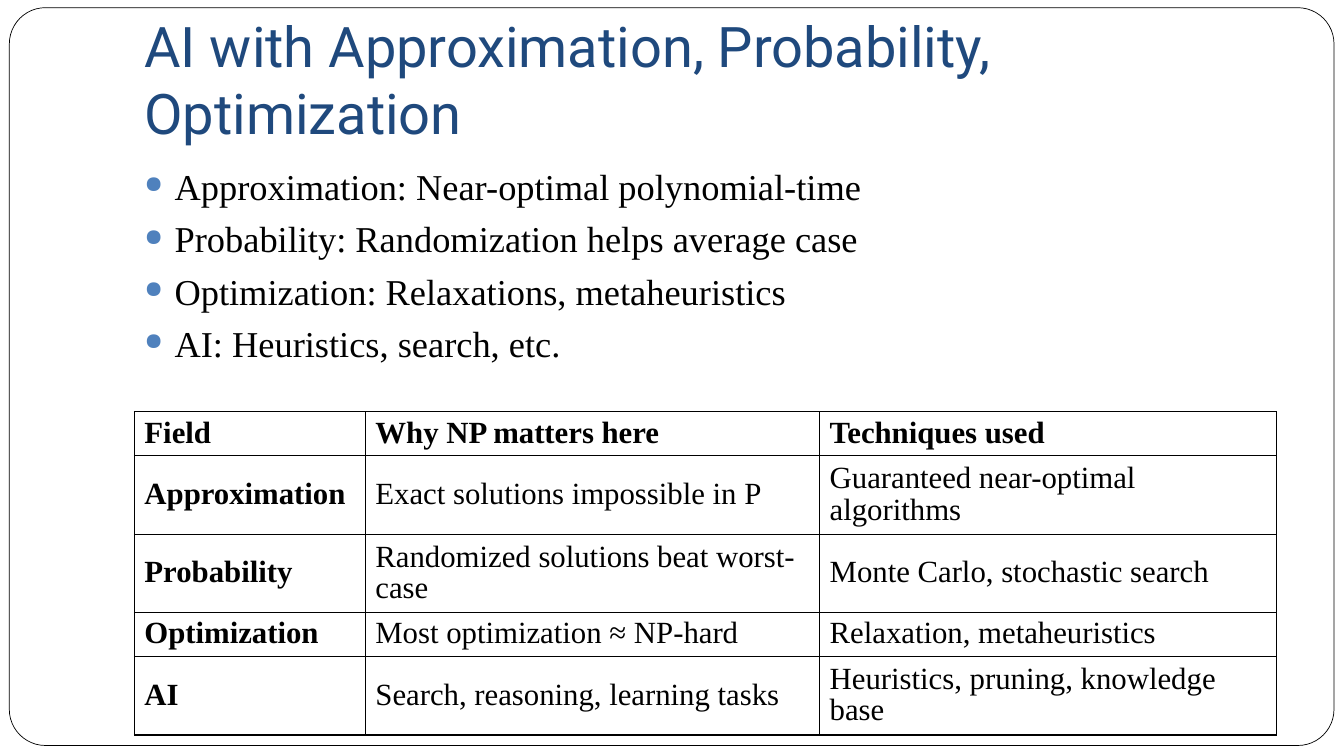
import pptx
import pptx.dml.color
import pptx.enum.shapes
import pptx.enum.text
import pptx.oxml
import pptx.oxml.ns
import pptx.util
from lxml import etree

Pt = pptx.util.Pt
ANCHOR = pptx.enum.text.MSO_ANCHOR
LEFT, WIDTH = 96, 816
BLACK, WHITE, NAVY, BLUE = "000000", "FFFFFF", "1F497D", "4F81BD"

BULLETS = [
    "Approximation: Near-optimal polynomial-time",
    "Probability: Randomization helps average case",
    "Optimization: Relaxations, metaheuristics",
    "AI: Heuristics, search, etc.",
]
FIELD_ROWS = [
    ("Field", "Why NP matters here", "Techniques used"),
    ("Approximation", "Exact solutions impossible in P", "Guaranteed near-optimal algorithms"),
    ("Probability", "Randomized solutions beat worst-case", "Monte Carlo, stochastic search"),
    ("Optimization", "Most optimization ≈ NP-hard", "Relaxation, metaheuristics"),
    ("AI", "Search, reasoning, learning tasks", "Heuristics, pruning, knowledge base"),
]
COLUMN_WIDTHS = [165, 324.5, 326.5]
ROW_HEIGHTS = [31.4, 56, 56, 31.4, 56]


def color(hex_string):
    return pptx.dml.color.RGBColor.from_string(hex_string)


def add_element(parent, tag, **attributes):
    element = etree.SubElement(parent, pptx.oxml.ns.qn(tag))
    for name, value in attributes.items():
        element.set(name, str(value))
    return element


def write(paragraph, text, size, font="Times New Roman", fill=BLACK, bold=False):
    run = paragraph.add_run()
    run.text = text
    run.font.name = font
    run.font.size = Pt(size)
    run.font.bold = bold
    run.font.color.rgb = color(fill)


class SlideBuilder:
    def __init__(self, slide):
        self.slide = slide

    def frame(self, left, top, width, height):
        shape = self.slide.shapes.add_shape(
            pptx.enum.shapes.MSO_SHAPE.ROUNDED_RECTANGLE,
            Pt(left), Pt(top), Pt(width), Pt(height))
        shape.adjustments[0] = 0.049
        shape.shadow.inherit = False
        shape.fill.solid()
        shape.fill.fore_color.rgb = color(WHITE)
        shape.line.color.rgb = color(BLACK)
        shape.line.width = Pt(0.5)
        # Send behind the title
        self.slide.shapes.title.element.addprevious(shape.element)

    def title(self, text, top, height):
        title = self.slide.shapes.title
        title.left, title.top = Pt(LEFT), Pt(top)
        title.width, title.height = Pt(WIDTH), Pt(height)
        text_frame = title.text_frame
        text_frame.word_wrap = True
        text_frame.auto_size = pptx.enum.text.MSO_AUTO_SIZE.NONE
        text_frame.vertical_anchor = ANCHOR.BOTTOM
        text_frame.margin_bottom = Pt(7.2)
        paragraph = text_frame.paragraphs[0]
        paragraph.alignment = pptx.enum.text.PP_ALIGN.LEFT
        write(paragraph, text, 40, font="Roboto", fill=NAVY)

    def bullets(self, items, top, height):
        box = self.slide.shapes.add_textbox(Pt(LEFT), Pt(top), Pt(WIDTH), Pt(height))
        text_frame = box.text_frame
        text_frame.word_wrap = True
        for index, item in enumerate(items):
            paragraph = text_frame.add_paragraph() if index else text_frame.paragraphs[0]
            paragraph.space_before = Pt(6 if index else 0)
            properties = paragraph._p.get_or_add_pPr()
            properties.set("marL", str(Pt(21.6)))
            properties.set("indent", str(Pt(-21.6)))
            add_element(add_element(properties, "a:buClr"), "a:srgbClr", val=BLUE)
            add_element(properties, "a:buSzPct", val=65000)
            add_element(properties, "a:buChar", char="●")
            write(paragraph, item, 26)

    def table(self, rows, top):
        table = self.slide.shapes.add_table(
            len(rows), len(COLUMN_WIDTHS), Pt(LEFT), Pt(top),
            Pt(WIDTH), Pt(sum(ROW_HEIGHTS))).table
        table.first_row = table.horz_banding = False
        for column, width in zip(table.columns, COLUMN_WIDTHS):
            column.width = Pt(width)
        for row_index, texts in enumerate(rows):
            table.rows[row_index].height = Pt(ROW_HEIGHTS[row_index])
            for column_index, text in enumerate(texts):
                cell = table.cell(row_index, column_index)
                cell.vertical_anchor = ANCHOR.MIDDLE
                self.borders(cell)
                cell.fill.background()
                paragraph = cell.text_frame.paragraphs[0]
                paragraph.line_spacing = 0.92
                write(paragraph, text, 22, bold=row_index == 0 or column_index == 0)

    def borders(self, cell):
        properties = cell._tc.get_or_add_tcPr()
        for side in ("a:lnL", "a:lnR", "a:lnT", "a:lnB"):
            line = add_element(properties, side, w=Pt(1))
            add_element(add_element(line, "a:solidFill"), "a:srgbClr", val=BLACK)


def main():
    presentation = pptx.Presentation()
    presentation.slide_width, presentation.slide_height = Pt(960), Pt(540)
    builder = SlideBuilder(presentation.slides.add_slide(presentation.slide_layouts[5]))

    # Frame and title
    builder.frame(6.7, 5.5, 946.2, 527)
    builder.title("AI with Approximation, Probability, Optimization", 21.6, 90)

    # Bullets and table
    builder.bullets(BULLETS, 114, 360)
    builder.table(FIELD_ROWS, 294)

    presentation.save("out.pptx")


if __name__ == "__main__":
    main()
